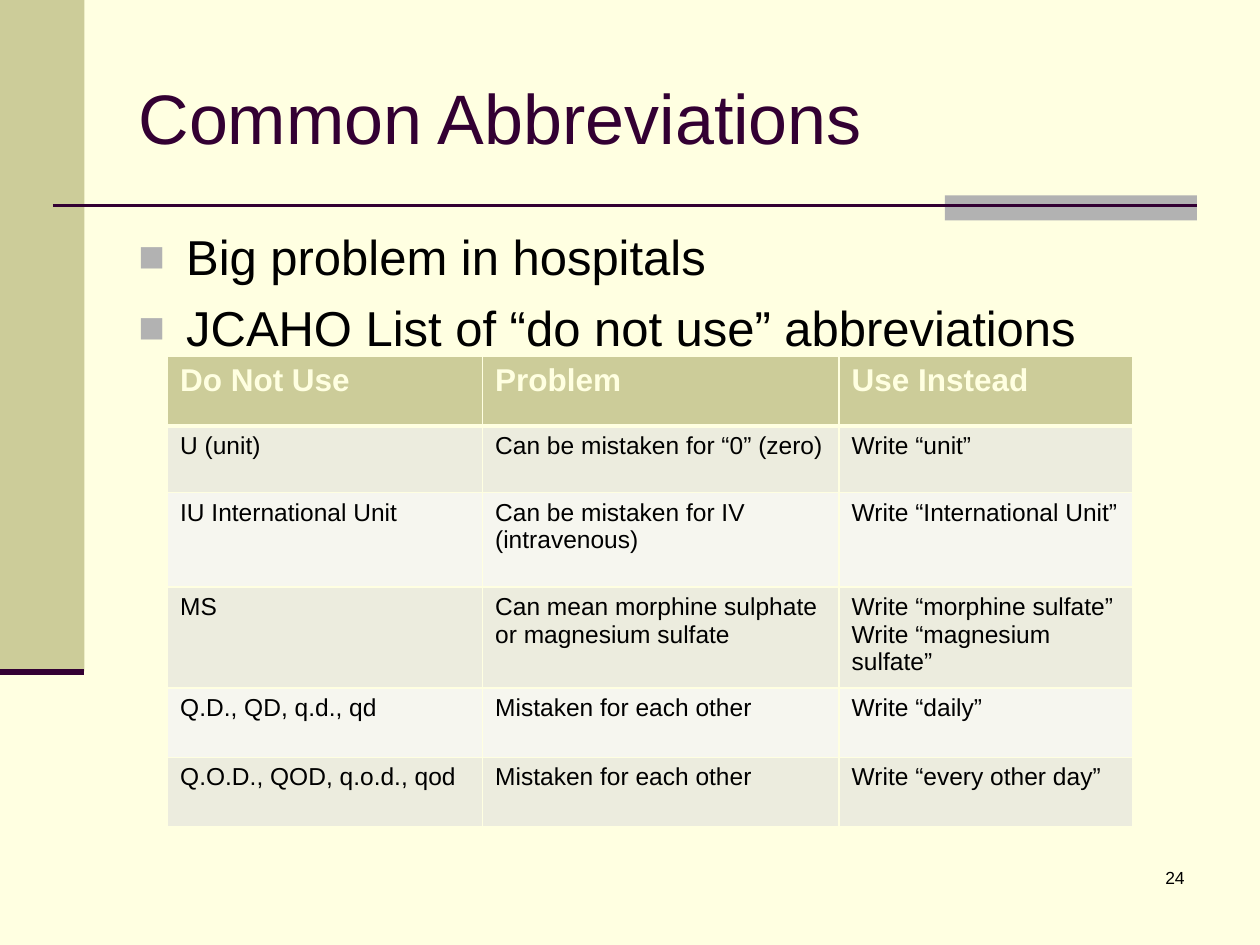
from typing import NamedTuple

from lxml.etree import SubElement as Sub
from pptx import Presentation
from pptx.dml.color import RGBColor as Rgb
from pptx.enum.shapes import MSO_CONNECTOR as Link, MSO_SHAPE as Form
from pptx.enum.text import MSO_ANCHOR as Anchor, PP_ALIGN as Align
from pptx.oxml.ns import qn
from pptx.util import Inches, Pt

CREAM = Rgb(0xFF, 0xFF, 0xE1)
OLIVE = Rgb(0xCC, 0xCC, 0x99)
GRAY = Rgb(0xB2, 0xB2, 0xB2)
PLUM = Rgb(0x33, 0x00, 0x33)
BLACK = Rgb(0, 0, 0)
DARK = Rgb(0xEC, 0xEC, 0xDE)
LIGHT = Rgb(0xF6, 0xF6, 0xEF)


class Box(NamedTuple):
    left: float
    top: float
    width: float
    height: float


class Rule(NamedTuple):
    left: float
    right: float
    top: float
    weight: float


class Style(NamedTuple):
    size: float
    color: Rgb
    bold: bool = False


PANELS = [(Box(0, 0, 0.67, 5.33), OLIVE), (Box(7.5, 1.55, 2, 0.2), GRAY)]
RULES = [Rule(0.42, 9.5, 1.63, 1.5), Rule(0, 0.67, 5.33, 3.5)]
POINTS = ["Big problem in hospitals", "JCAHO List of “do not use” abbreviations"]
COLS = [2.5, 2.83, 2.33]
ROWS = [0.55, 0.53, 0.75, 0.8, 0.55, 0.55]
CELLS = [
    ("Do Not Use", "Problem", "Use Instead"),
    ("U (unit)", "Can be mistaken for “0” (zero)", "Write “unit”"),
    ("IU International Unit", "Can be mistaken for IV (intravenous)",
     "Write “International Unit”"),
    ("MS", "Can mean morphine sulphate or magnesium sulfate",
     "Write “morphine sulfate”\nWrite “magnesium sulfate”"),
    ("Q.D., QD, q.d., qd", "Mistaken for each other", "Write “daily”"),
    ("Q.O.D., QOD, q.o.d., qod", "Mistaken for each other",
     "Write “every other day”"),
]


def lengths(box: Box) -> list:
    return [Inches(side) for side in box]


def write(frame, lines: list[str], style: Style, align=Align.LEFT) -> None:
    frame.word_wrap = True
    for at, line in enumerate(lines):
        para = frame.paragraphs[0] if at == 0 else frame.add_paragraph()
        para.alignment = align
        run = para.add_run()
        run.text = line
        font = run.font
        font.name = "Arial"
        font.size = Pt(style.size)
        font.bold = style.bold
        font.color.rgb = style.color


def panel(slide, box: Box, color: Rgb) -> None:
    shape = slide.shapes.add_shape(Form.RECTANGLE, *lengths(box))
    shape.shadow.inherit = False
    shape.fill.solid()
    shape.fill.fore_color.rgb = color
    shape.line.fill.background()


def rule(slide, item: Rule) -> None:
    top = Inches(item.top)
    line = slide.shapes.add_connector(
        Link.STRAIGHT, Inches(item.left), top, Inches(item.right), top)
    line.line.color.rgb = PLUM
    line.line.width = Pt(item.weight)
    Sub(line._element.spPr, qn("a:effectLst"))


def bullet(para) -> None:
    para.space_before = Pt(7)
    props = para._p.get_or_add_pPr()
    props.set("marL", str(Inches(0.38)))
    props.set("indent", str(-Inches(0.38)))
    Sub(Sub(props, qn("a:buClr")), qn("a:srgbClr"), val=str(GRAY))
    Sub(props, qn("a:buSzPct"), val="90000")
    Sub(props, qn("a:buFont"), typeface="Arial")
    Sub(props, qn("a:buChar"), char="■")


def border(cell, head: bool, below: bool) -> None:
    props = cell._tc.get_or_add_tcPr()
    weights = {"L": 1, "R": 1, "T": 3 if below else 1, "B": 3 if head else 1}
    for at, (side, weight) in enumerate(weights.items()):
        line = Sub(props, qn(f"a:ln{side}"), w=str(Pt(weight)))
        Sub(Sub(line, qn("a:solidFill")), qn("a:srgbClr"), val=str(CREAM))
        props.insert(at, line)


def grid(slide, box: Box) -> None:
    table = slide.shapes.add_table(len(ROWS), len(COLS), *lengths(box)).table
    table.horz_banding = False
    for col, width in zip(table.columns, COLS):
        col.width = Inches(width)
    for at, (row, height) in enumerate(zip(table.rows, ROWS)):
        row.height = Inches(height)
        head = at == 0
        style = Style(18, CREAM, True) if head else Style(14, BLACK)
        color = OLIVE if head else DARK if at % 2 else LIGHT
        for cell, text in zip(row.cells, CELLS[at]):
            write(cell.text_frame, text.split("\n"), style)
            cell.fill.solid()
            cell.fill.fore_color.rgb = color
            border(cell, head, at == 1)


def main() -> None:
    deck = Presentation()
    deck.slide_width, deck.slide_height = Inches(10), Inches(7.5)
    slide = deck.slides.add_slide(deck.slide_layouts[5])
    back = slide.background.fill
    back.solid()
    back.fore_color.rgb = CREAM

    for box, color in PANELS:
        panel(slide, box, color)
    for item in RULES:
        rule(slide, item)

    title = slide.shapes.title
    title.left, title.top, title.width, title.height = lengths(
        Box(1, 0.3, 8.5, 1.25))
    title.text_frame.vertical_anchor = Anchor.MIDDLE
    write(title.text_frame, ["Common Abbreviations"], Style(40, PLUM))

    body = slide.shapes.add_textbox(*lengths(Box(1, 1.75, 8.5, 4.95)))
    write(body.text_frame, POINTS, Style(28, BLACK))
    for para in body.text_frame.paragraphs:
        bullet(para)

    grid(slide, Box(1.33, 2.83, sum(COLS), sum(ROWS)))

    page = slide.shapes.add_textbox(*lengths(Box(7.42, 6.83, 2.08, 0.5)))
    write(page.text_frame, ["24"], Style(10, BLACK), Align.RIGHT)

    deck.save("out.pptx")


if __name__ == "__main__":
    main()
